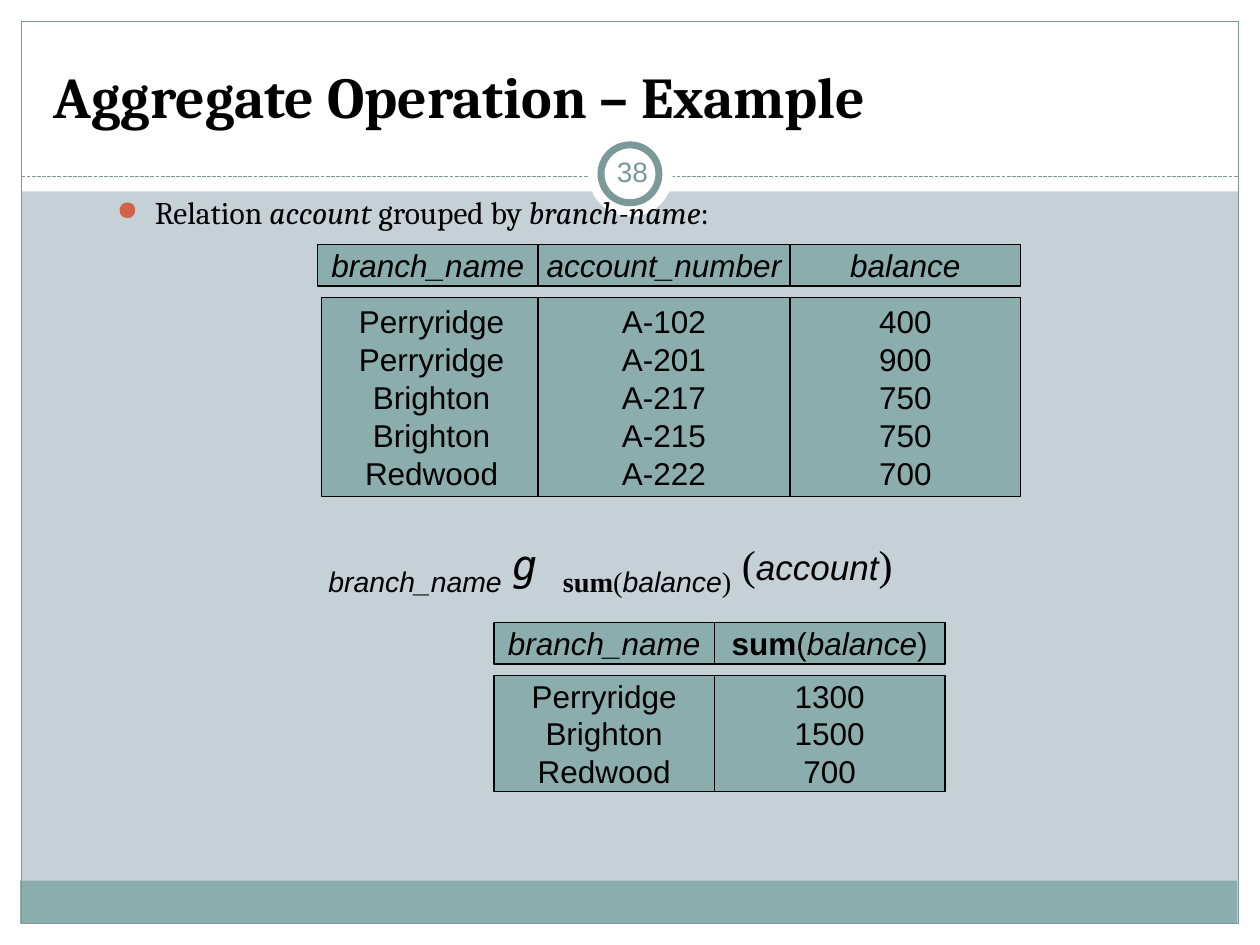
from dataclasses import dataclass
from lxml.etree import SubElement
from pptx import Presentation
from pptx.dml.color import RGBColor as RGB
from pptx.enum.dml import MSO_LINE as Dash
from pptx.enum.shapes import MSO_CONNECTOR as Conn, MSO_SHAPE as Form
from pptx.enum.text import MSO_ANCHOR as Anchor, PP_ALIGN as Align
from pptx.oxml.ns import qn
from pptx.util import Inches, Pt


@dataclass(frozen=True)
class Theme:
    back: str = "C5D1D7"
    white: str = "FFFFFF"
    black: str = "000000"
    teal: str = "8CADAE"
    edge: str = "7C999A"
    page: str = "7B9899"
    dot: str = "D16349"
    serif: str = "Cambria"
    sans: str = "Arial"
    roman: str = "Times New Roman"
    mono: str = "DejaVu Sans Mono"
    head: int = 33
    sub: int = 28
    big: int = 24
    mid: int = 20
    body: int = 18
    num: int = 16


T = Theme()
CELL = {"name": T.sans, "size": T.body}
SLANT = {**CELL, "italic": True}


def add_run(para, text, style):
    """Add one run; style may hold font values, a colour and a baseline."""
    run = para.add_run()
    run.text = text
    look = {"color": T.black, **style}
    run.font.color.rgb = RGB.from_string(look.pop("color"))
    base = look.pop("base", 0)
    if base:
        run._r.get_or_add_rPr().set("baseline", str(base * 1000))
    look["size"] = Pt(look["size"])
    for key, val in look.items():
        setattr(run.font, key, val)


def fill_text(frame, lines, align=Align.CENTER, **form):
    """Write lines, each a list of (text, style) runs."""
    for key, val in {"word_wrap": True, **form}.items():
        setattr(frame, key, val)
    for i, runs in enumerate(lines):
        para = frame.add_paragraph() if i else frame.paragraphs[0]
        para.alignment = align
        for text, style in runs:
            add_run(para, text, style)


def add_text(slide, box, runs, **form):
    frame = slide.shapes.add_textbox(*map(Inches, box)).text_frame
    fill_text(frame, [runs], **form)
    return frame


def add_form(slide, box, fill=None, line=None, width=0.75, form=Form.RECTANGLE):
    shape = slide.shapes.add_shape(form, *map(Inches, box))
    shape.shadow.inherit = False
    if fill:
        shape.fill.solid()
        shape.fill.fore_color.rgb = RGB.from_string(fill)
    else:
        shape.fill.background()
    if line:
        shape.line.color.rgb = RGB.from_string(line)
        shape.line.width = Pt(width)
    else:
        shape.line.fill.background()
    return shape


def add_rule(slide, left, right, top):
    rule = slide.shapes.add_connector(
        Conn.STRAIGHT, Inches(left), Inches(top), Inches(right), Inches(top))
    rule.line.color.rgb = RGB.from_string(T.edge)
    rule.line.width = Pt(0.75)
    rule.line.dash_style = Dash.SQUARE_DOT
    SubElement(rule._element.spPr, qn("a:effectLst"))


def add_dot(para):
    props = para._p.get_or_add_pPr()
    props.set("marL", str(Inches(0.3)))
    props.set("indent", str(-Inches(0.3)))
    tint = SubElement(props, qn("a:buClr"))
    SubElement(tint, qn("a:srgbClr"), val=T.dot)
    SubElement(props, qn("a:buSzPct"), val="85000")
    SubElement(props, qn("a:buChar"), char="●")


def add_row(slide, left, top, high, cols, shift=0):
    """Place boxes side by side; cols holds (width, lines). Shift moves the first."""
    for wide, lines in cols:
        cell = add_form(slide, (left + shift, top, wide, high), T.teal, T.black)
        fill_text(cell.text_frame, lines, word_wrap=False,
                  vertical_anchor=Anchor.MIDDLE)
        left, shift = left + wide, 0


def add_grid(slide, left, top, high, cols, shift=0):
    """Heading row, then one tall box of values per column."""
    add_row(slide, left, top, 0.33, [(wide, [head]) for wide, head, _ in cols])
    rows = [(wide, [[(word, CELL)] for word in vals.split()])
            for wide, _, vals in cols]
    add_row(slide, left, top + 0.42, high, rows, shift)


def add_frame(slide):
    # White margins, footer band and border
    for box in ((0, 7.33, 10, 0.17), (0, 0, 10, 1.52),
                (0, 0, 0.17, 7.5), (9.83, 0, 0.17, 7.5)):
        add_form(slide, box, T.white)
    add_form(slide, (0.16, 6.99, 9.66, 0.34), T.teal)
    add_form(slide, (0.17, 0.17, 9.66, 7.16), line=T.edge)
    # Dashed rule and page ring
    add_rule(slide, 0.17, 9.83, 1.4)
    add_form(slide, (4.67, 1.05, 0.67, 0.67), T.white, form=Form.OVAL)
    add_form(slide, (4.77, 1.15, 0.46, 0.46), T.white, T.edge, 4, Form.OVAL)


def main():
    deck = Presentation()
    deck.slide_width, deck.slide_height = Inches(10), Inches(7.5)
    slide = deck.slides.add_slide(deck.slide_layouts[6])
    slide.background.fill.solid()
    slide.background.fill.fore_color.rgb = RGB.from_string(T.back)
    add_frame(slide)

    # Title and bullet
    head = {"name": T.serif, "size": T.head, "bold": True}
    add_text(slide, (0.33, 0.25, 9.33, 0.83),
             [("Aggregate Operation – Example", head)],
             align=Align.LEFT, vertical_anchor=Anchor.BOTTOM)
    text = {"name": T.serif, "size": T.body}
    ital = {**text, "italic": True}
    note = add_text(slide, (0.83, 1.48, 7.51, 0.45), [
        ("Relation ", text), ("account", ital), (" grouped by ", text),
        ("branch-name", ital), (":", text)], align=Align.LEFT)
    add_dot(note.paragraphs[0])

    # Aggregate formula
    big = {"name": T.roman, "size": T.big}
    low = {"name": T.roman, "size": T.sub, "base": -25}
    term = {**low, "name": T.sans, "italic": True}
    add_text(slide, (1, 4.17, 7.69, 0.64), [
        ("branch_name", term), (" ", big),
        ("g ", {**big, "name": T.mono, "italic": True}),
        ("sum", {**low, "bold": True}), ("(", low), ("balance", term),
        (")", low), (" (", big), ("account", {**SLANT, "size": T.mid}),
        (")", big)])

    # Account relation
    branch = [("branch_name", SLANT)]
    add_grid(slide, 2.52, 1.94, 1.58, [
        (1.75, branch, "Perryridge Perryridge Brighton Brighton Redwood"),
        (2, [("account_number", SLANT)], "A-102 A-201 A-217 A-215 A-222"),
        (1.83, [("balance", SLANT)], "400 900 750 750 700")], shift=0.03)

    # Sums by branch
    total = [("sum", {**CELL, "bold": True}), ("(", CELL),
             ("balance", SLANT), (")", CELL)]
    add_grid(slide, 3.92, 4.94, 0.92, [
        (1.75, branch, "Perryridge Brighton Redwood"),
        (1.83, total, "1300 1500 700")])

    # Page number
    pad = {f"margin_{side}": Inches(0.05)
           for side in ("left", "top", "right", "bottom")}
    add_text(slide, (4.77, 1.12, 0.5, 0.48),
             [("38", {"name": T.sans, "size": T.num, "color": T.page})],
             vertical_anchor=Anchor.MIDDLE, **pad)
    deck.save("out.pptx")


if __name__ == "__main__":
    main()
